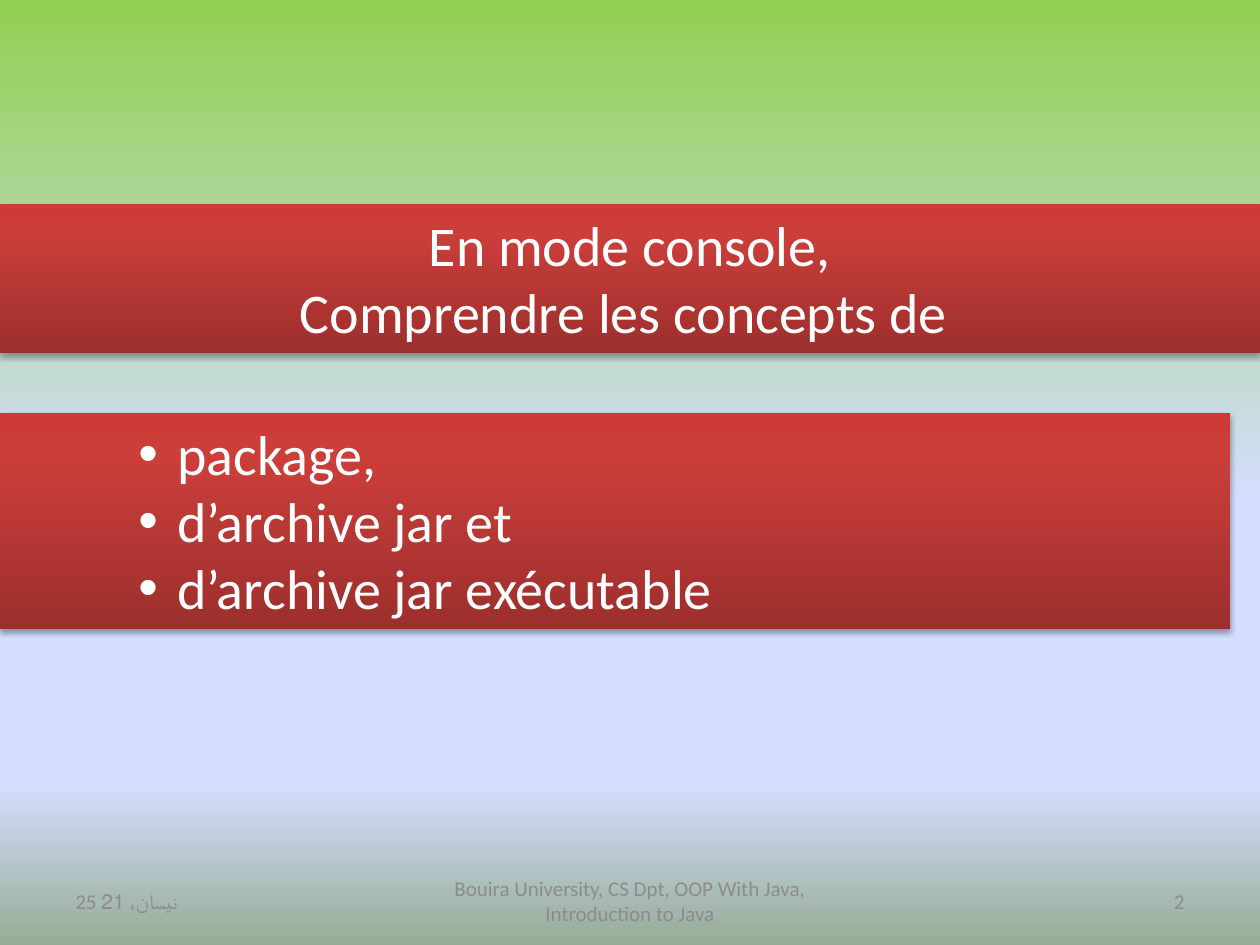
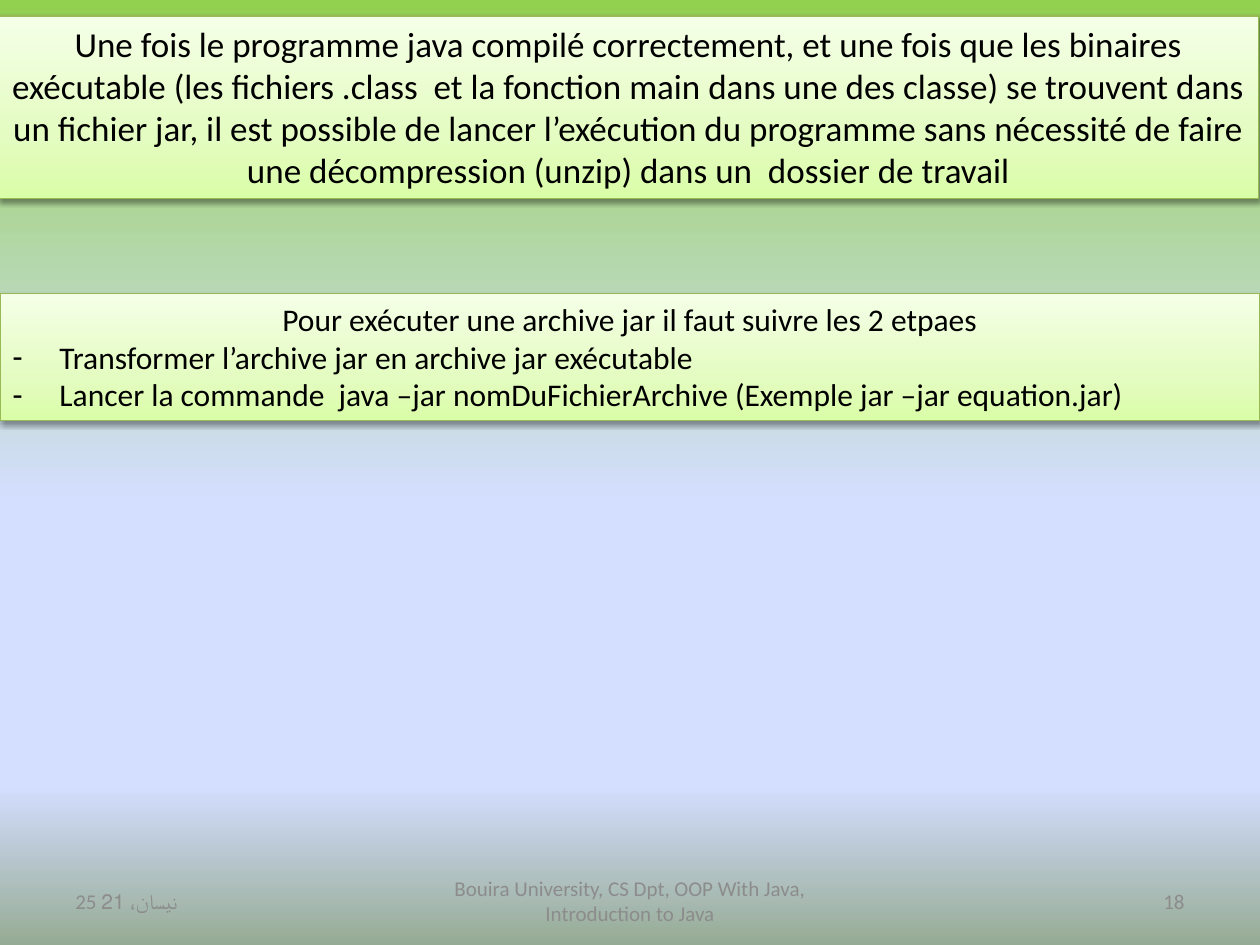
"""Build two slides about Java packages and executable jar archives."""
from copy import deepcopy
from dataclasses import dataclass
from typing import Optional

from lxml.etree import SubElement
from pptx import Presentation
from pptx.dml.color import RGBColor
from pptx.enum.shapes import MSO_SHAPE
from pptx.enum.text import MSO_ANCHOR as Anchor, MSO_AUTO_SIZE as AutoSize, PP_ALIGN as Align
from pptx.oxml.ns import qn
from pptx.util import Cm, Pt

WHITE = RGBColor(0xFF, 0xFF, 0xFF)
BLACK = RGBColor(0x00, 0x00, 0x00)
GREY = RGBColor(0x8C, 0x8C, 0x8C)
OLIVE = RGBColor(0x98, 0xB9, 0x55)
MEADOW = RGBColor(0x92, 0xD0, 0x50)
SKY = RGBColor(0xD4, 0xDE, 0xFF)
SAGE = RGBColor(0x96, 0xAB, 0x94)
DARK_RED = RGBColor(0x9C, 0x2F, 0x2D)
MID_RED = RGBColor(0xCB, 0x3E, 0x3A)
BRIGHT_RED = RGBColor(0xCE, 0x3B, 0x37)
LIME = RGBColor(0xDA, 0xFD, 0xA7)
PALE_LIME = RGBColor(0xE4, 0xFC, 0xC2)
FAINT_LIME = RGBColor(0xF5, 0xFF, 0xE7)

FONT = "Calibri"
COURSE = "Bouira University, CS Dpt, OOP With Java, Introduction to Java"
DATE = "25 نيسان، 21"
LANDSCAPE = [(0, MEADOW), (53, SKY), (83, SKY), (100, SAGE)]


@dataclass(frozen=True)
class Look:
    stops: list
    text: RGBColor
    border: Optional[RGBColor]
    shadow_alpha: int
    shadow_distance: float


@dataclass(frozen=True)
class Bullet:
    mark: str
    margin: float
    hanging: float
    level: int = 0


@dataclass(frozen=True)
class Band:
    left: float
    top: float
    width: float
    height: float
    look: Look
    size: int
    lead: str = ""
    items: tuple = ()
    bullet: Optional[Bullet] = None


RED = Look([(0, DARK_RED), (80, MID_RED), (100, BRIGHT_RED)], WHITE, None, 35, 1.8)
GREEN = Look([(0, LIME), (35, PALE_LIME), (100, FAINT_LIME)], BLACK, OLIVE, 38, 1.6)
DOT = Bullet("•", 3.33, 0.79, level=2)
DASH = Bullet("-", 0.95, 0.95)

SLIDES = [
    (2,
     Band(0, 4.11, 25.4, 3, RED, 32, "En mode console,\nComprendre les concepts de "),
     Band(0, 8.33, 24.8, 4.36, RED, 32, bullet=DOT,
          items=("package, ", "d’archive jar et ", "d’archive jar exécutable"))),
    (18,
     Band(-0.03, 0.32, 25.4, 3.68, GREEN, 20,
          "Une fois le programme java compilé correctement, et une fois que les binaires "
          "exécutable (les fichiers .class  et la fonction main dans une des classe) se "
          "trouvent dans un fichier jar, il est possible de lancer l’exécution du programme "
          "sans nécessité de faire une décompression (unzip) dans un  dossier de travail"),
     Band(0, 5.92, 25.4, 2.56, GREEN, 18,
          "Pour exécuter une archive jar il faut suivre les 2 etpaes", bullet=DASH,
          items=("Transformer l’archive jar en archive jar exécutable",
                 "Lancer la commande  java –jar nomDuFichierArchive "
                 "(Exemple jar –jar equation.jar)"))),
]


def paint_gradient(fill, owner, stops: list, angle: int) -> None:
    """Fill with colour stops at a counter-clockwise angle."""
    fill.gradient()
    fill.gradient_angle = angle
    stop_list = next(owner.element.iter(qn("a:gsLst")))
    stop_list.clear()
    for percent, color in stops:
        stop = SubElement(stop_list, qn("a:gs"), pos=str(percent * 1000))
        SubElement(stop, qn("a:srgbClr"), val=str(color))


def cast_shadow(shape, look: Look) -> None:
    """Give the shape a soft shadow straight below it."""
    shape.shadow.inherit = False
    effects = shape.element.spPr.find(qn("a:effectLst"))
    shadow = SubElement(effects, qn("a:outerShdw"), blurRad=str(Pt(3.1)),
                        dist=str(Pt(look.shadow_distance)), dir="5400000", rotWithShape="0")
    black = SubElement(shadow, qn("a:srgbClr"), val=str(BLACK))
    SubElement(black, qn("a:alpha"), val=str(look.shadow_alpha * 1000))


def write(frame, text: str, *, size: int, color: RGBColor, align: Align = Align.LEFT,
          bullet: Optional[Bullet] = None) -> None:
    """Write one formatted paragraph into the next free place of a frame."""
    paragraph = frame.paragraphs[0] if not frame.text else frame.add_paragraph()
    paragraph.text = text
    paragraph.alignment = align
    for run in paragraph.runs:
        run.font.name, run.font.size = FONT, Pt(size)
        run.font.color.rgb = color
    for line_break in paragraph._p.findall(qn("a:br")):
        line_break.insert(0, deepcopy(paragraph.runs[0]._r.rPr))
    if bullet:
        paragraph.level = bullet.level
        properties = paragraph._p.get_or_add_pPr()
        properties.set("marL", str(Cm(bullet.margin)))
        properties.set("indent", str(-Cm(bullet.hanging)))
        SubElement(properties, qn("a:buFont"), typeface="Arial")
        SubElement(properties, qn("a:buChar"), char=bullet.mark)


def dress_band(shape, band: Band) -> None:
    """Place a shape as a band and give it its look and its text."""
    shape.left, shape.top = Cm(band.left), Cm(band.top)
    shape.width, shape.height = Cm(band.width), Cm(band.height)
    look = band.look
    paint_gradient(shape.fill, shape, look.stops, 90)
    if look.border:
        shape.line.color.rgb = look.border
        shape.line.width = Pt(0.75)
    else:
        shape.line.fill.background()
    cast_shadow(shape, look)
    frame = shape.text_frame
    frame.word_wrap = True
    frame.auto_size = AutoSize.SHAPE_TO_FIT_TEXT
    frame.vertical_anchor = Anchor.TOP
    if band.lead:
        write(frame, band.lead, size=band.size, color=look.text, align=Align.CENTER)
    for item in band.items:
        write(frame, item, size=band.size, color=look.text, bullet=band.bullet)


def add_footer(slide, number: int) -> None:
    """Add the date, the course and the slide number along the bottom."""
    for left, width, text, align in (
        (1.27, 5.93, DATE, Align.LEFT),
        (8.68, 8.04, COURSE, Align.CENTER),
        (18.2, 5.93, str(number), Align.RIGHT),
    ):
        frame = slide.shapes.add_textbox(Cm(left), Cm(17.65), Cm(width), Cm(1.02)).text_frame
        frame.word_wrap = True
        frame.vertical_anchor = Anchor.MIDDLE
        write(frame, text, size=12, color=GREY, align=align)


def main() -> None:
    """Build and save the presentation."""
    deck = Presentation()
    deck.slide_width, deck.slide_height = Cm(25.4), Cm(19.05)
    master = deck.slide_master
    paint_gradient(master.background.fill, master, LANDSCAPE, 270)
    for number, heading, details in SLIDES:
        slide = deck.slides.add_slide(deck.slide_layouts[5])
        dress_band(slide.shapes.title, heading)
        body = slide.shapes.add_shape(MSO_SHAPE.RECTANGLE, 0, 0, 0, 0)
        dress_band(body, details)
        add_footer(slide, number)
    deck.save("out.pptx")


main()
